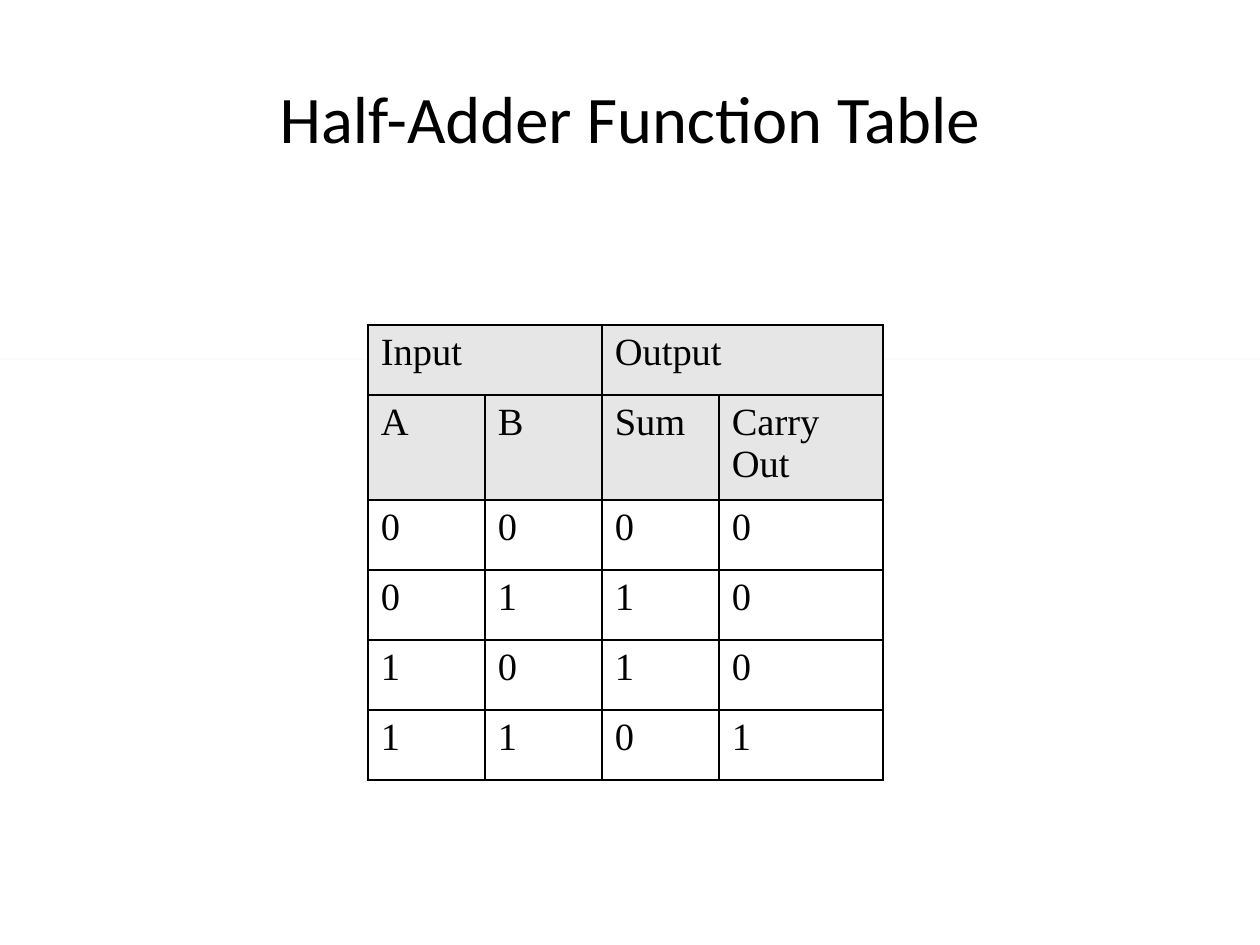
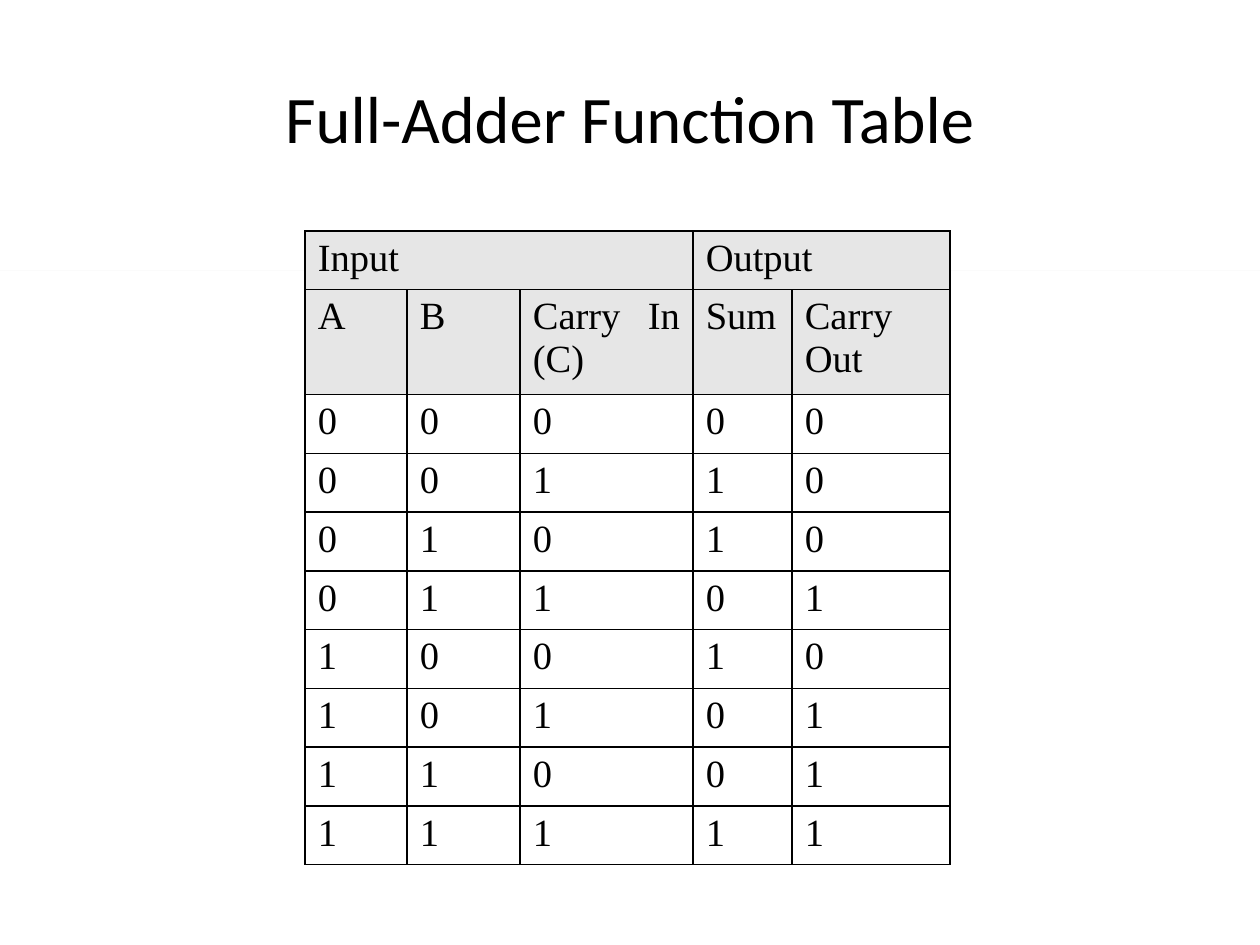
"""Build two slides with the function tables of the half adder and the full adder."""
import itertools

import lxml.etree
import pptx
import pptx.dml.color
import pptx.enum.shapes
import pptx.enum.text
import pptx.oxml
import pptx.oxml.ns
import pptx.util

ADDERS = [
    {
        "title": "Half-Adder Function Table",
        "groups": [("Input", ["A", "B"]), ("Output", ["Sum", "Carry Out"])],
        "truth": ["0000", "0110", "1010", "1101"],
        "left": 368, "top": 325, "height": 455,
        "columns": [117, 117, 117, 164],
        "rule_top": 359,
    },
    {
        "title": "Full-Adder Function Table",
        "groups": [("Input", ["A", "B", "Carry In (C)"]), ("Output", ["Sum", "Carry Out"])],
        "truth": ["00000", "00110", "01010", "01101", "10010", "10101", "11001", "11111"],
        "left": 305, "top": 231, "height": 634,
        "columns": [102, 113, 173, 99, 158],
        "rule_top": 271,
    },
]

THEME = {
    "ink": "000000", "paper": "FFFFFF", "header": "E6E6E6",
    "title_font": "Calibri", "title_size": 38,
    "table_font": "Times New Roman", "table_size": 22,
    "border": 1,
}
SLIDE_WIDTH, SLIDE_HEIGHT = 1260, 945
TITLE_BOX = (63, 38, 1134, 157)
NAMES_ROW, NAMES_HEIGHT = 1, 105
INSETS = (13, 6, 13, 6)
EMU_PER_PX = 914400 // 126


def px(length):
    return pptx.util.Emu(round(length * EMU_PER_PX))


def colour(name):
    return pptx.dml.color.RGBColor.from_string(THEME[name])


def write(frame, text, *, font, size, align):
    frame.text = text
    frame.word_wrap = True
    paragraph = frame.paragraphs[0]
    paragraph.alignment = align
    paragraph.font.name = font
    paragraph.font.size = pptx.util.Pt(size)
    paragraph.font.color.rgb = colour("ink")


def fill(target, name):
    target.fill.solid()
    target.fill.fore_color.rgb = colour(name)


def add_borders(cell):
    properties = cell._tc.get_or_add_tcPr()
    for position, side in enumerate(("lnL", "lnR", "lnT", "lnB")):
        line = pptx.oxml.parse_xml(
            f'<a:{side} {pptx.oxml.ns.nsdecls("a")} w="{pptx.util.Pt(THEME["border"])}">'
            f'<a:solidFill><a:srgbClr val="{THEME["ink"]}"/></a:solidFill></a:{side}>'
        )
        properties.insert(position, line)


def add_title(slide, text):
    title = slide.shapes.title
    title.left, title.top, title.width, title.height = map(px, TITLE_BOX)
    frame = title.text_frame
    write(frame, text, font=THEME["title_font"], size=THEME["title_size"],
          align=pptx.enum.text.PP_ALIGN.CENTER)
    frame.auto_size = pptx.enum.text.MSO_AUTO_SIZE.NONE
    frame.vertical_anchor = pptx.enum.text.MSO_ANCHOR.MIDDLE


def add_rule(slide, top):
    rule = slide.shapes.add_shape(
        pptx.enum.shapes.MSO_SHAPE.RECTANGLE, 0, px(top), px(SLIDE_WIDTH), 0)
    rule.shadow.inherit = False
    fill(rule, "header")
    rule.line.fill.background()


def add_function_table(slide, adder):
    names = list(itertools.chain.from_iterable(names for _, names in adder["groups"]))
    captions = []
    for caption, members in adder["groups"]:
        captions += [caption] + [""] * (len(members) - 1)
    rows = [captions, names, *adder["truth"]]
    widths = adder["columns"]
    table = slide.shapes.add_table(
        len(rows), len(names), px(adder["left"]), px(adder["top"]),
        px(sum(widths)), px(adder["height"])).table
    table.horz_banding = table.first_row = False
    for column, width in zip(table.columns, widths):
        column.width = px(width)
    plain_height = (adder["height"] - NAMES_HEIGHT) / (len(rows) - 1)
    for row_index, texts in enumerate(rows):
        table.rows[row_index].height = px(
            NAMES_HEIGHT if row_index == NAMES_ROW else plain_height)
        for column_index, text in enumerate(texts):
            cell = table.cell(row_index, column_index)
            cell.margin_left, cell.margin_top, cell.margin_right, cell.margin_bottom = map(px, INSETS)
            fill(cell, "header" if row_index <= NAMES_ROW else "paper")
            add_borders(cell)
            if text:
                write(cell.text_frame, text, font=THEME["table_font"],
                      size=THEME["table_size"], align=pptx.enum.text.PP_ALIGN.JUSTIFY)
    start = 0
    for _, members in adder["groups"]:
        end = start + len(members)
        table.cell(0, start).merge(table.cell(0, end - 1))
        start = end


def main():
    presentation = pptx.Presentation()
    presentation.slide_width = px(SLIDE_WIDTH)
    presentation.slide_height = px(SLIDE_HEIGHT)
    for adder in ADDERS:
        slide = presentation.slides.add_slide(presentation.slide_layouts[5])
        fill(slide.background, "paper")
        add_title(slide, adder["title"])
        add_rule(slide, adder["rule_top"])
        add_function_table(slide, adder)
    presentation.save("out.pptx")


if __name__ == "__main__":
    main()
